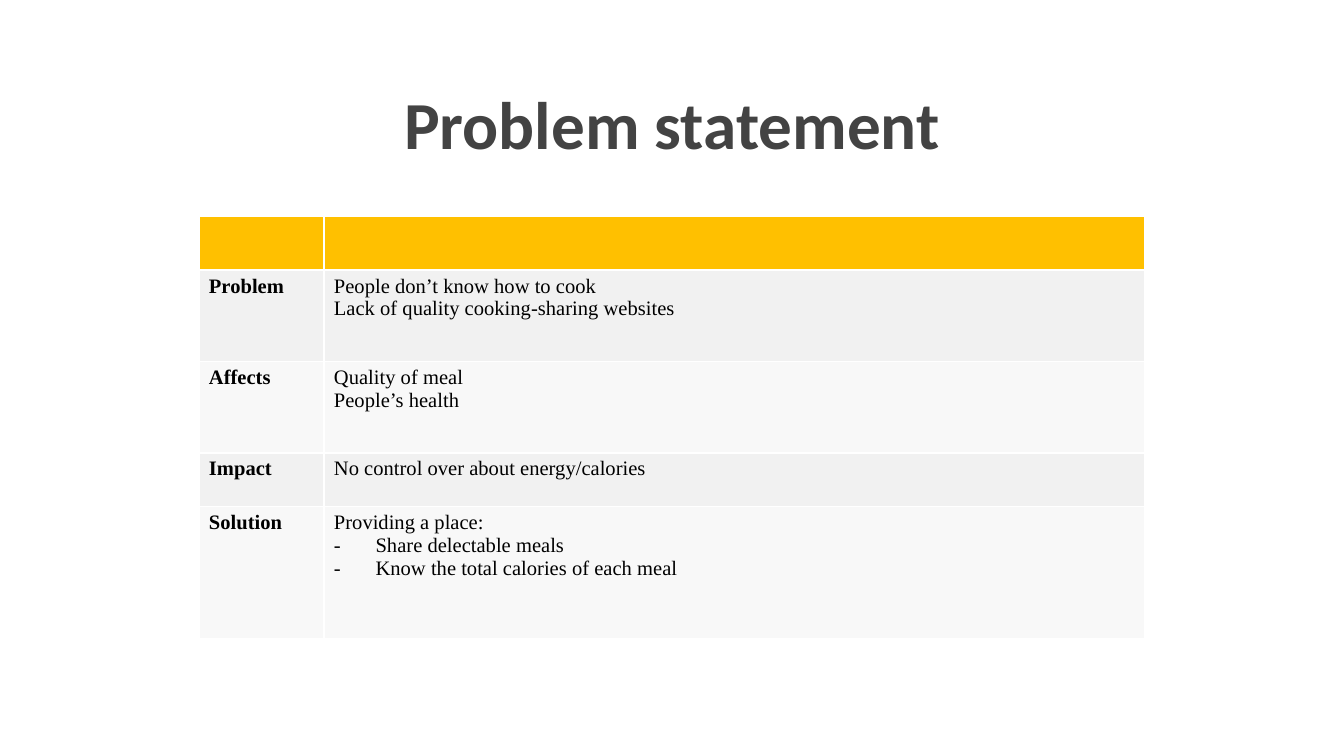
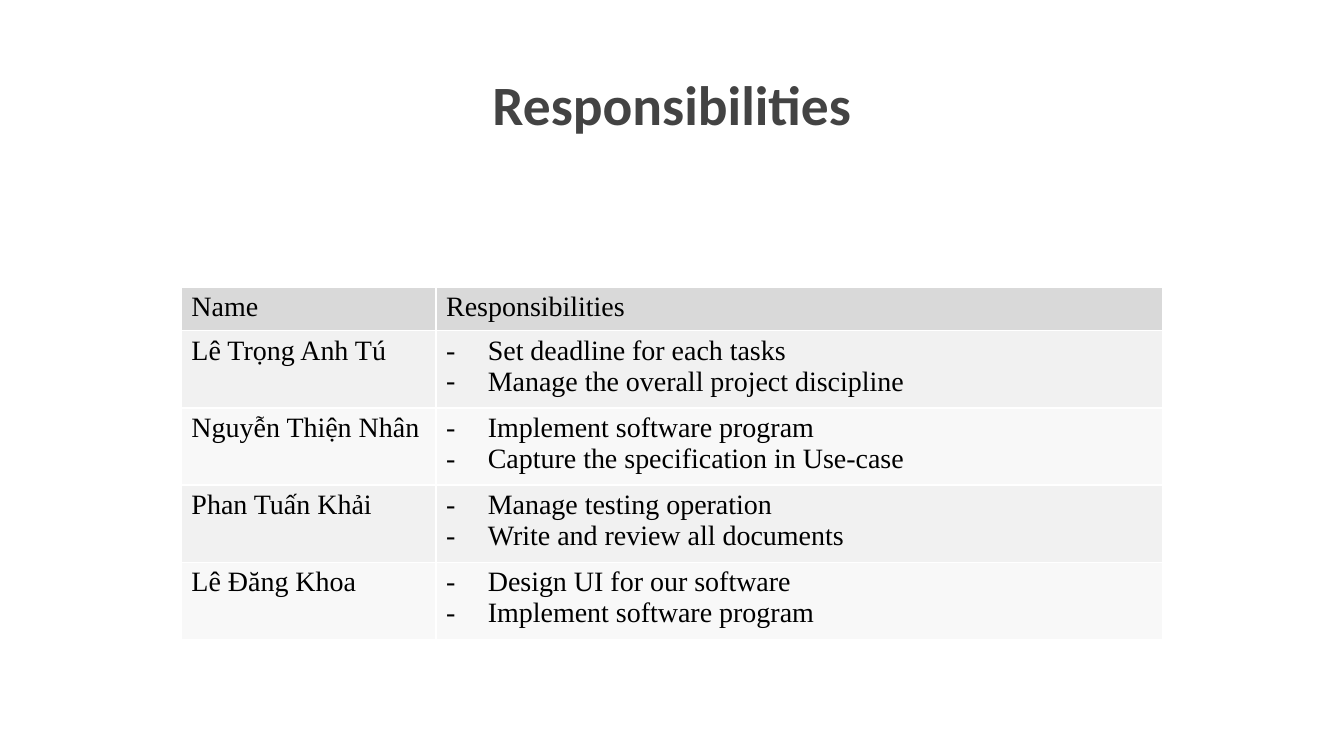
from lxml import etree
from pptx import Presentation, util as u
from pptx.dml.color import RGBColor
from pptx.enum import text
from pptx.oxml.ns import qn

# Content: a cell is a list of lines; a line starting with BULLET is a list item
BULLET = "- "
SLIDES = [
    {
        "title": "Problem statement",
        "title_box": (138, 45, 1724, 218),
        "title_size": 36,
        "title_spacing": 1.0,
        "table_at": (296, 322),
        "columns": [186, 1222],
        "row_heights": [80, 136, 136, 80, 196],
        "header_fill": "gold",
        "cell_size": 11,
        "bold_labels": True,
        "rows": [
            ([], []),
            (["Problem"], ["People don’t know how to cook",
                           "Lack of quality cooking-sharing websites"]),
            (["Affects"], ["Quality of meal", "People’s health"]),
            (["Impact"], ["No control over about energy/calories"]),
            (["Solution"], ["Providing a place:", "- Share delectable meals",
                            "- Know the total calories of each meal"]),
        ],
    },
    {
        "title": "Responsibilities",
        "title_box": (68, 97, 1864, 126),
        "title_size": 29.7,
        "title_spacing": 0.8,
        "table_at": (270, 427),
        "columns": [379, 1081],
        "row_heights": [65] + [115] * 4,
        "header_fill": "grey",
        "cell_size": 15,
        "bold_labels": False,
        "rows": [
            (["Name"], ["Responsibilities"]),
            (["Lê Trọng Anh Tú"], ["- Set deadline for each tasks",
                                   "- Manage the overall project discipline"]),
            (["Nguyễn Thiện Nhân"], ["- Implement software program",
                                     "- Capture the specification in Use-case"]),
            (["Phan Tuấn Khải"], ["- Manage testing operation",
                                  "- Write and review all documents"]),
            (["Lê Đăng Khoa"], ["- Design UI for our software",
                                "- Implement software program"]),
        ],
    },
]

THEME = {
    "title_font": "Calibri",
    "body_font": "Times New Roman",
    "title": "434343",
    "body": "000000",
    "border": "FFFFFF",
    "gold": "FFC000",
    "grey": "D9D9D9",
    "bands": ("F1F1F1", "F8F8F8"),
    "border_width": 1,
}
# Lengths are px, 200 to the inch
PX_PER_INCH = 200
SLIDE_SIZE = (2000, 1125)
TITLE_INSET = 20
CELL_INSETS = {"margin_left": 15, "margin_right": 15, "margin_top": 7, "margin_bottom": 7}
BULLET_INDENT = 62


def px(length):
    return u.Emu(length * u.Inches(1) // PX_PER_INCH)


def apply(target, values):
    for name, value in values.items():
        setattr(target, name, value)


def add_run(paragraph, content, font, size, color, bold):
    run = paragraph.add_run()
    run.text = content
    apply(run.font, {"name": font, "size": u.Pt(size), "bold": bold})
    run.font.color.rgb = RGBColor.from_string(color)


def add_color(parent, color):
    etree.SubElement(parent, qn("a:srgbClr"), val=color)


def add_bullet(paragraph):
    properties = paragraph._p.get_or_add_pPr()
    properties.set("marL", str(px(BULLET_INDENT)))
    properties.set("indent", str(-px(BULLET_INDENT)))
    add_color(etree.SubElement(properties, qn("a:buClr")), THEME["body"])
    etree.SubElement(properties, qn("a:buFont"), typeface=THEME["body_font"])
    etree.SubElement(properties, qn("a:buChar"), char=BULLET.strip())


def add_borders(cell):
    properties = cell._tc.get_or_add_tcPr()
    for side in "LRTB":
        width = str(u.Pt(THEME["border_width"]))
        line = etree.SubElement(properties, qn(f"a:ln{side}"), w=width)
        add_color(etree.SubElement(line, qn("a:solidFill")), THEME["border"])


def add_title(slide, content):
    box = slide.shapes.add_textbox(*map(px, content["title_box"]))
    frame = box.text_frame
    apply(frame, {"word_wrap": True, "vertical_anchor": text.MSO_ANCHOR.BOTTOM})
    apply(frame, {f"margin_{side}": px(TITLE_INSET)
                  for side in ("left", "right", "top", "bottom")})
    paragraph = frame.paragraphs[0]
    apply(paragraph, {"alignment": text.PP_ALIGN.CENTER,
                      "line_spacing": content["title_spacing"]})
    add_run(paragraph, content["title"], THEME["title_font"],
            content["title_size"], THEME["title"], True)


def fill_cell(cell, lines, fill, size, bold):
    apply(cell, {name: px(inset) for name, inset in CELL_INSETS.items()})
    add_borders(cell)
    cell.fill.solid()
    cell.fill.fore_color.rgb = RGBColor.from_string(fill)
    frame = cell.text_frame
    for index, line in enumerate(lines):
        paragraph = frame.add_paragraph() if index else frame.paragraphs[0]
        if line.startswith(BULLET):
            add_bullet(paragraph)
        add_run(paragraph, line.removeprefix(BULLET), THEME["body_font"],
                size, THEME["body"], bold)


def add_table(slide, content):
    rows, columns, heights = content["rows"], content["columns"], content["row_heights"]
    frame = slide.shapes.add_table(
        len(rows), len(columns), *map(px, content["table_at"]),
        px(sum(columns)), px(sum(heights)))
    table = frame.table
    apply(table, {"first_row": False, "horz_banding": False})
    for column, width in zip(table.columns, columns):
        column.width = px(width)
    for row, height in zip(table.rows, heights):
        row.height = px(height)
    for r, row in enumerate(rows):
        # Body rows alternate between the two bands
        fill = THEME["bands"][(r - 1) % 2] if r else THEME[content["header_fill"]]
        for c, lines in enumerate(row):
            bold = content["bold_labels"] and c == 0
            fill_cell(table.cell(r, c), lines, fill, content["cell_size"], bold)


def main():
    presentation = Presentation()
    width, height = map(px, SLIDE_SIZE)
    apply(presentation, {"slide_width": width, "slide_height": height})
    for content in SLIDES:
        slide = presentation.slides.add_slide(presentation.slide_layouts[6])
        add_title(slide, content)
        add_table(slide, content)
    presentation.save("out.pptx")


if __name__ == "__main__":
    main()
